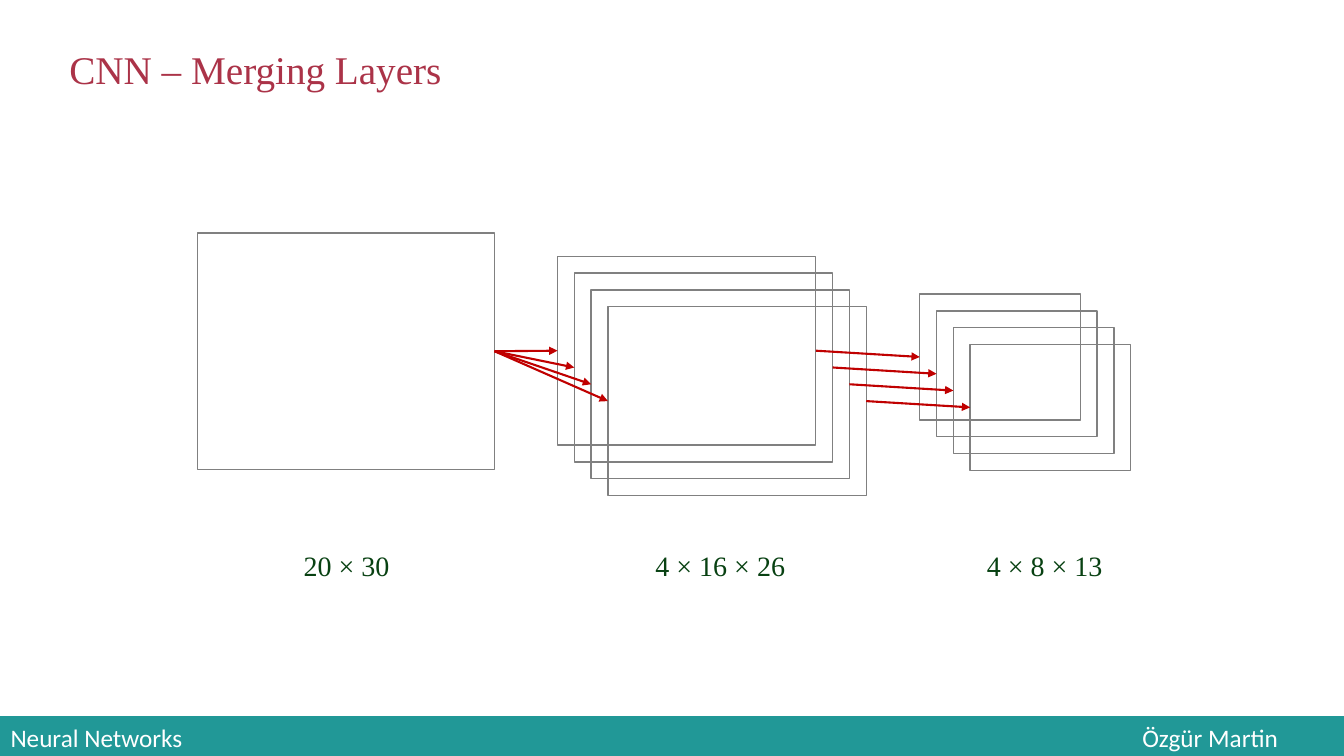
"""Builds the slide on merging the layers of a convolutional network."""
from itertools import cycle

from lxml.etree import SubElement
from pptx import Presentation
from pptx.dml.color import RGBColor
from pptx.enum.shapes import MSO_CONNECTOR, MSO_SHAPE
from pptx.enum.text import MSO_ANCHOR, MSO_AUTO_SIZE, PP_ALIGN
from pptx.oxml.ns import qn
from pptx.util import Emu, Pt

TITLE = "CNN – Merging Layers"
LAYERS = [
    {"label": "20 × 30", "label_center": 330, "maps": 1, "box": (188, 222, 283, 225)},
    {"label": "4 × 16 × 26", "label_center": 686, "maps": 4, "box": (531, 244, 246, 180)},
    {"label": "4 × 8 × 13", "label_center": 995, "maps": 4, "box": (876, 280, 153, 120)},
]
FOOTER = [
    {"text": "Özgür Martin", "left": 1062, "width": 218, "indent": 26},
    {"text": "Neural Networks", "left": 0, "width": 1066, "indent": 10},
]
MAP_STEP = 16
LABEL_TOP, LABEL_WIDTH, LABEL_HEIGHT = 517, 160, 42
FOOTER_TOP, FOOTER_HEIGHT = 682, 40
LEFT_SIDE, RIGHT_SIDE = 1, 3
SERIF, SANS = "Times New Roman", "Calibri"
TEAL, WHITE, CRIMSON = "219897", "FFFFFF", "AB3348"
GRAY, RED, GREEN = "808080", "C00000", "084112"


def px(*lengths):
    return [Emu(length * 9525) for length in lengths]


def paint(color_format, color):
    color_format.rgb = RGBColor.from_string(color)


def write(shape, text, *, size, font, color, align=PP_ALIGN.LEFT,
          anchor=MSO_ANCHOR.MIDDLE, insets=(10, 5, 10, 5), spacing=None):
    frame = shape.text_frame
    frame.word_wrap = True
    frame.auto_size = MSO_AUTO_SIZE.NONE
    frame.vertical_anchor = anchor
    (frame.margin_left, frame.margin_top,
     frame.margin_right, frame.margin_bottom) = px(*insets)
    paragraph = frame.paragraphs[0]
    paragraph.alignment = align
    if spacing:
        paragraph.line_spacing = Pt(spacing)
    run = paragraph.add_run()
    run.text = text
    run.font.size = Pt(size)
    run.font.name = font
    paint(run.font.color, color)


def add_rectangle(slide, box, fill=None, line=None):
    rectangle = slide.shapes.add_shape(MSO_SHAPE.RECTANGLE, *px(*box))
    rectangle.shadow.inherit = False
    if fill:
        rectangle.fill.solid()
        paint(rectangle.fill.fore_color, fill)
    else:
        rectangle.fill.background()
    if line:
        paint(rectangle.line.color, line)
        rectangle.line.width = Pt(1)
    else:
        rectangle.line.fill.background()
    return rectangle


def add_arrow(slide, source, target):
    arrow = slide.shapes.add_connector(MSO_CONNECTOR.STRAIGHT, *px(0, 0, 0, 0))
    arrow.begin_connect(source, RIGHT_SIDE)
    arrow.end_connect(target, LEFT_SIDE)
    paint(arrow.line.color, RED)
    arrow.line.width = Pt(1.5)
    SubElement(arrow.line._get_or_add_ln(), qn("a:tailEnd"), type="triangle")
    SubElement(arrow._element.spPr, qn("a:effectLst"))


def add_layer(slide, layer):
    left, top, width, height = layer["box"]
    label_left = layer["label_center"] - LABEL_WIDTH // 2
    label = slide.shapes.add_textbox(*px(label_left, LABEL_TOP, LABEL_WIDTH, LABEL_HEIGHT))
    write(label, layer["label"], size=20, font=SERIF, color=GREEN, align=PP_ALIGN.CENTER)
    offsets = [MAP_STEP * index for index in range(layer["maps"])]
    return [add_rectangle(slide, (left + offset, top + offset, width, height), line=GRAY)
            for offset in offsets]


def main():
    deck = Presentation()
    deck.slide_width, deck.slide_height = px(1280, 720)
    slide = deck.slides.add_slide(deck.slide_layouts[5])

    for part in FOOTER:
        bar = add_rectangle(
            slide, (part["left"], FOOTER_TOP, part["width"], FOOTER_HEIGHT), fill=TEAL)
        write(bar, part["text"], size=18, font=SANS, color=WHITE,
              insets=(part["indent"], 5, 10, 5))

    title = slide.shapes.title
    title.left, title.top, title.width, title.height = px(66, 45, 858, 111)
    write(title, TITLE, size=28, font=SERIF, color=CRIMSON,
          anchor=MSO_ANCHOR.TOP, insets=(0, 0, 0, 0), spacing=32)

    stacks = [add_layer(slide, layer) for layer in LAYERS]
    for sources, targets in zip(stacks, stacks[1:]):
        for source, target in zip(cycle(sources), targets):
            add_arrow(slide, source, target)

    deck.save("out.pptx")


if __name__ == "__main__":
    main()
